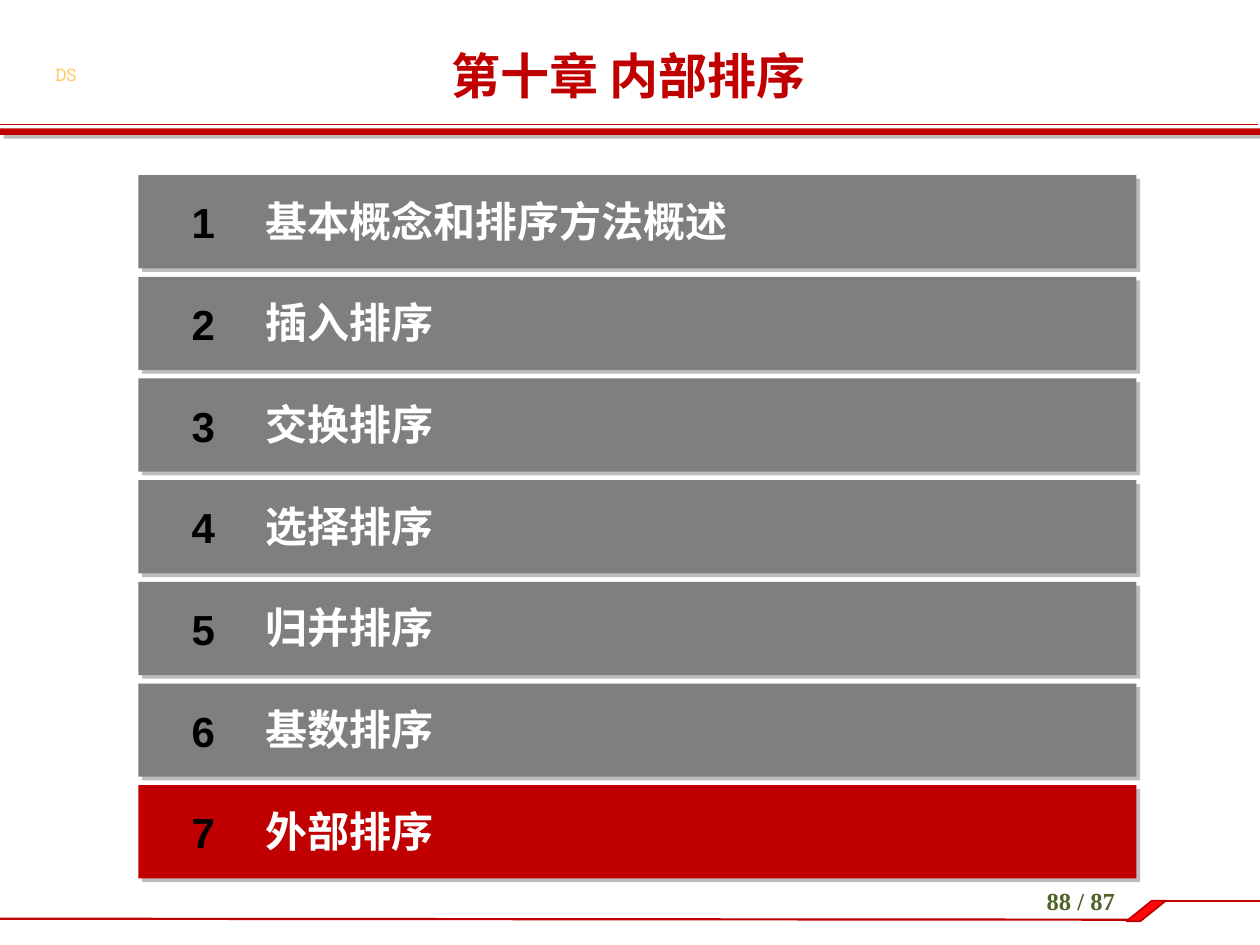
from lxml import etree
from pptx import Presentation
from pptx.dml.color import RGBColor
from pptx.enum.shapes import MSO_CONNECTOR, MSO_SHAPE
from pptx.enum.text import MSO_ANCHOR, MSO_AUTO_SIZE, PP_ALIGN
from pptx.oxml.ns import qn
from pptx.util import Cm, Pt

RED = RGBColor(0xC0, 0x00, 0x00)
BRIGHT = RGBColor(0xFF, 0x09, 0x09)
GREY = RGBColor(0x7F, 0x7F, 0x7F)
GREEN = RGBColor(0x4F, 0x62, 0x28)
GOLD = RGBColor(0xFF, 0xCC, 0x66)
WHITE = RGBColor(0xFF, 0xFF, 0xFF)
BLACK = RGBColor(0x00, 0x00, 0x00)

RECT = MSO_SHAPE.RECTANGLE
SLANT = MSO_SHAPE.PARALLELOGRAM
STRAIGHT = MSO_CONNECTOR.STRAIGHT
LEFT, CENTER = PP_ALIGN.LEFT, PP_ALIGN.CENTER
MIDDLE = MSO_ANCHOR.MIDDLE
NO_FIT = MSO_AUTO_SIZE.NONE

SERIF, SANS, HAN = "Times New Roman", "Arial", "Noto Sans CJK SC"
TOPICS = ["基本概念和排序方法概述", "插入排序", "交换排序", "选择排序",
          "归并排序", "基数排序", "外部排序"]
ACTIVE = 7


def write(frame, text, size, name, color, align=CENTER, bold=True):
    """Put one styled line of text into a frame."""
    frame.text = text
    frame.word_wrap = True
    frame.auto_size = NO_FIT
    line = frame.paragraphs[0]
    line.alignment = align
    line.space_before = Pt(0)
    run = line.runs[0]
    font = run.font
    font.size, font.bold, font.name = Pt(size), bold, name
    font.color.rgb = color
    latin = font._element.find(qn("a:latin"))
    latin.addnext(latin.makeelement(qn("a:ea"), {"typeface": HAN}))


def add_text(slide, box, *style, **more):
    """Add a text box at a box given in centimetres."""
    label = slide.shapes.add_textbox(*map(Cm, box))
    write(label.text_frame, *style, **more)


def add_line(slide, ends, width):
    """Add a red line without shadow."""
    line = slide.shapes.add_connector(STRAIGHT, *map(Cm, ends))
    line.line.color.rgb = RED
    line.line.width = Pt(width)
    etree.SubElement(line._element.spPr, qn("a:effectLst"))


def add_bar(slide, box, color):
    """Add a borderless bar with a hard shadow to the lower right."""
    bar = slide.shapes.add_shape(RECT, *map(Cm, box))
    bar.fill.solid()
    bar.fill.fore_color.rgb = color
    bar.line.fill.background()
    bar.shadow.inherit = False
    effects = bar._element.spPr.find(qn("a:effectLst"))
    shadow = etree.SubElement(effects, qn("a:outerShdw"), blurRad="0",
                              dist=str(Pt(3)), dir="2700000",
                              algn="tl", rotWithShape="0")
    tint = etree.SubElement(shadow, qn("a:srgbClr"), val=str(BLACK))
    etree.SubElement(tint, qn("a:alpha"), val="26000")


def add_header(slide, x, y, width):
    """Place the chapter title, course mark and double rule."""
    add_line(slide, (x, y + 2.51, x + width - 0.05, y + 2.51), 0.25)
    add_bar(slide, (x, y + 2.59, width, 0.13), RED)
    add_text(slide, (x + 0.64, y + 1.17, 1.37, 0.69),
             "DS", 10, "Roboto Slab", GOLD, bold=False)
    title = slide.shapes.title
    title.left, title.top = Cm(x + 2.06), Cm(y + 0.71)
    title.width, title.height = Cm(21.23), Cm(1.6)
    write(title.text_frame, "第十章 内部排序", 28, SERIF, RED)
    title.text_frame.vertical_anchor = MIDDLE


def add_row(slide, x, y, width, number, topic):
    """Place one numbered topic, red when it is the active one."""
    add_bar(slide, (x, y, width, 1.88), RED if number == ACTIVE else GREY)
    add_text(slide, (x + 2.31, y + 0.28, width - 2.31, 1.27),
             topic, 24, HAN, WHITE, align=LEFT)
    add_text(slide, (x + 0.51, y + 0.31, 1.6, 1.3),
             str(number), 24, SANS, BLACK)


def add_agenda(slide, x, y, width, step):
    """Stack the topic rows at equal steps."""
    for index, topic in enumerate(TOPICS):
        add_row(slide, x, y + index * step, width, index + 1, topic)


def add_footer(slide, x, y, width):
    """Place the page count above the stepped rule."""
    add_text(slide, (x + 20.19, y, 3.2, 1.02), "88 / 87", 14, SERIF, GREEN)
    add_line(slide, (x, y + 0.79, x + 22.76, y + 0.81), 1.25)
    add_line(slide, (x + 23.29, y + 0.43, x + width, y + 0.43), 1.5)
    step = slide.shapes.add_shape(
        SLANT, Cm(x + 22.71), Cm(y + 0.43), Cm(0.79), Cm(0.41))
    step.adjustments[0] = 1.24
    step.fill.solid()
    step.fill.fore_color.rgb = BRIGHT
    step.line.color.rgb = RED
    step.line.width = Pt(1)
    step.shadow.inherit = False


def main():
    """Build the agenda slide and save it."""
    deck = Presentation()
    deck.slide_width, deck.slide_height = Cm(25.4), Cm(19.05)
    slide = deck.slides.add_slide(deck.slide_layouts[5])
    add_header(slide, 0, 0, 25.4)
    add_agenda(slide, 2.79, 3.53, 20.12, 2.05)
    add_footer(slide, 0, 17.73, 25.4)
    deck.save("out.pptx")


if __name__ == "__main__":
    main()
